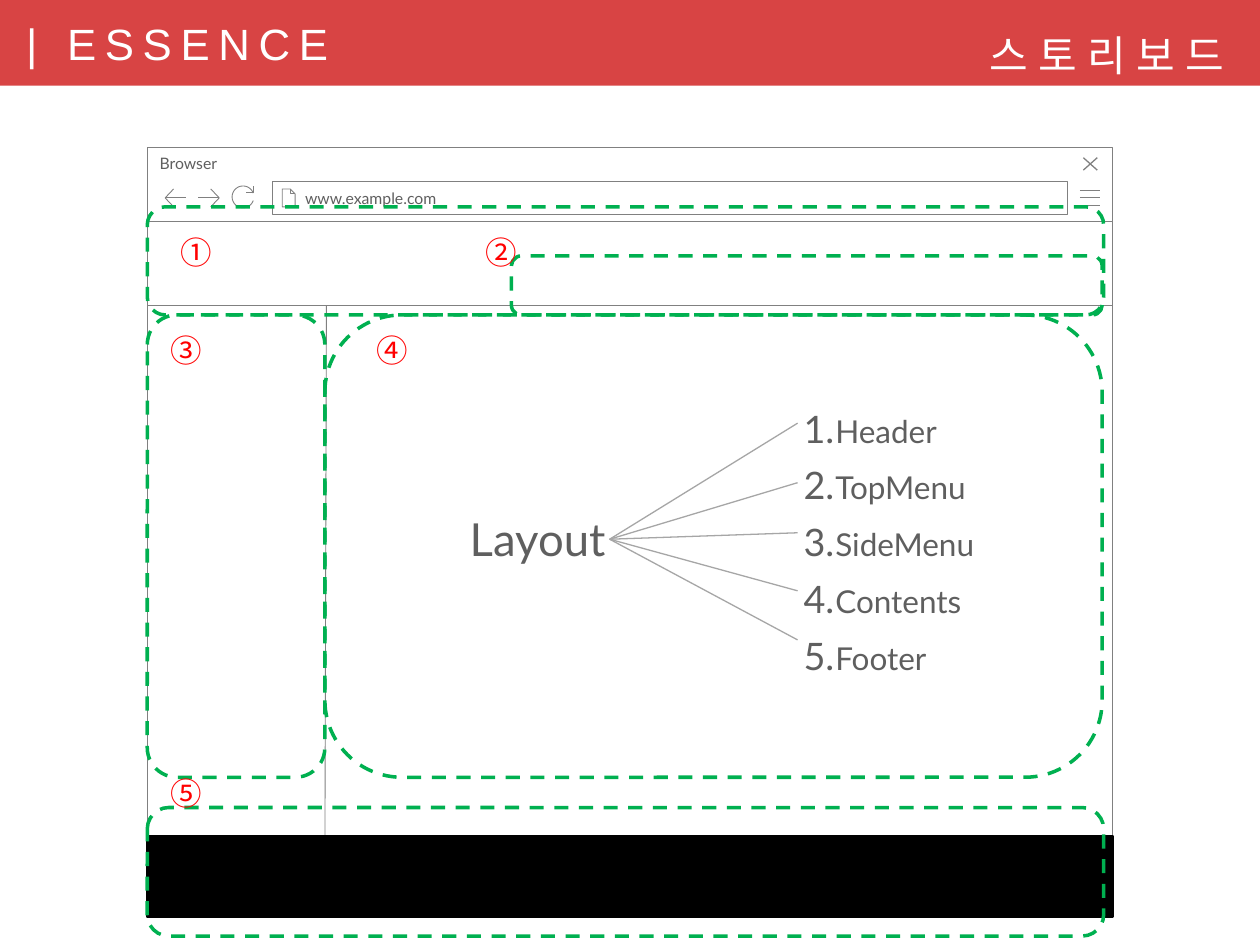
from math import cos, radians, sin

from lxml import etree
from pptx import Presentation
from pptx.dml.color import RGBColor
from pptx.enum.dml import MSO_LINE
from pptx.enum.shapes import MSO_CONNECTOR, MSO_SHAPE
from pptx.enum.text import MSO_ANCHOR, MSO_AUTO_SIZE, PP_ALIGN
from pptx.oxml.ns import qn
from pptx.util import Cm, Pt

RECT, ROUND = MSO_SHAPE.RECTANGLE, MSO_SHAPE.ROUNDED_RECTANGLE
LINE, DASH = MSO_CONNECTOR.STRAIGHT, MSO_LINE.DASH
LEFT, CENTER = PP_ALIGN.LEFT, PP_ALIGN.CENTER
TOP, MIDDLE = MSO_ANCHOR.TOP, MSO_ANCHOR.MIDDLE
FIXED = MSO_AUTO_SIZE.NONE

COLORS = {
    "band": "D84444", "white": "FFFFFF", "black": "000000", "frame": "808080",
    "text": "5F5F5F", "zone": "00B050", "fan": "A6A6A6", "mark": "FF0000",
}
LATIN, KOREAN = "Lato", "Noto Sans CJK KR"
INSET = (0.25, 0.13, 0.25, 0.13)

# Browser window: left, right and the heights of its rows
X, R = 2.97, 22.43
W = R - X
BAR, BODY, HEAD, FOOT = 2.97, 4.47, 6.15, 16.87


def color(name):
    return RGBColor.from_string(COLORS[name])


def style(para, size, face, hue, align=LEFT, gap=0):
    """Set the font of a paragraph, with letter spacing in points."""
    para.alignment = align
    font = para.font
    font.size, font.name = Pt(size), face
    font.color.rgb = color(hue)
    props = para._p.pPr.find(qn("a:defRPr"))
    if gap:
        props.set("spc", str(gap * 100))
    if face == KOREAN:
        etree.SubElement(props, qn("a:ea")).set("typeface", face)


def frame_text(shape, inset=INSET, anchor=TOP, wrap=True):
    frame = shape.text_frame
    frame.auto_size, frame.word_wrap = FIXED, wrap
    frame.vertical_anchor = anchor
    (frame.margin_left, frame.margin_top,
     frame.margin_right, frame.margin_bottom) = map(Cm, inset)
    return frame


def write(shape, text, font, inset=INSET, anchor=TOP, wrap=True):
    para = frame_text(shape, inset, anchor, wrap).paragraphs[0]
    para.text = text
    style(para, *font)


def add_label(shapes, box, text, font, inset=INSET, wrap=True):
    label = shapes.add_textbox(*map(Cm, box))
    write(label, text, font, inset, wrap=wrap)
    return label


def add_box(shapes, box, fill=None, line=None, width=0.5, kind=RECT):
    shape = shapes.add_shape(kind, *map(Cm, box))
    shape.shadow.inherit = False
    if fill:
        shape.fill.solid()
        shape.fill.fore_color.rgb = color(fill)
    else:
        shape.fill.background()
    if line:
        shape.line.color.rgb, shape.line.width = color(line), Pt(width)
    else:
        shape.line.fill.background()
    return shape


def add_line(shapes, ends, hue, width):
    line = shapes.add_connector(LINE, *map(Cm, ends))
    line.line.color.rgb, line.line.width = color(hue), Pt(width)
    etree.SubElement(line._element.spPr, qn("a:effectLst"))
    return line


def add_icon(shapes, strokes, width=0.5):
    """Draw open strokes, each a list of points in centimetres."""
    paths = [[(Cm(x), Cm(y)) for x, y in stroke] for stroke in strokes]
    pen = shapes.build_freeform(*paths[0][0])
    for num, points in enumerate(paths):
        if num:
            pen.move_to(*points[0])
        pen.add_line_segments(points[1:], close=False)
    icon = pen.convert_to_shape()
    icon.shadow.inherit = False
    icon.fill.background()
    icon.line.color.rgb, icon.line.width = color("frame"), Pt(width)


def add_list(shapes, box, items):
    frame = frame_text(shapes.add_textbox(*map(Cm, box)), (0, 0, 0, 0))
    for num, item in enumerate(items):
        para = frame.add_paragraph() if num else frame.paragraphs[0]
        para.text, para.line_spacing = item, 1.5
        props = para._p.get_or_add_pPr()
        props.set("marL", str(Cm(0.76)))
        props.set("indent", str(Cm(-0.64)))
        etree.SubElement(props, qn("a:buSzPct")).set("val", "120000")
        etree.SubElement(props, qn("a:buAutoNum")).set("type", "arabicPeriod")
        style(para, 18, LATIN, "text")


def add_header(slide):
    shapes, title = slide.shapes, slide.shapes.title
    add_box(shapes, (0, 0, 25.4, 1.73), "band")
    add_label(shapes, (0.28, 0.2, 12.4, 1.32), "| ESSENCE",
              (25, "Arial", "white", LEFT, 5))
    # The title goes in front of the band
    title._element.getparent().append(title._element)
    title.left, title.top, title.width, title.height = map(
        Cm, (19.69, 0.46, 5.6, 1.27))
    write(title, "스토리보드", (24, KOREAN, "white", LEFT, 6))


def add_browser(shapes):
    small = (9, LATIN, "text")
    add_box(shapes, (X, BODY, W, FOOT - BODY), "white", "frame")
    bar = add_box(shapes, (X, BAR, W, BODY - BAR), "white", "frame")
    write(bar, "Browser", small, (0.25, 0.13, 0.64, 0.13))

    # Menu and close icons
    add_icon(shapes, [[(21.77, y), (22.17, y)] for y in (4.14, 3.99, 3.84)])
    add_icon(shapes, [[(22.12, 3.18), (21.84, 3.43)],
                      [(21.84, 3.18), (22.12, 3.43)]], 0.75)

    # Address field with its page icon
    field = add_box(shapes, (5.49, 3.66, 16.03, 0.66), "white", "frame")
    write(field, "www.example.com", small, (0.66, 0.13, 0.25, 0.13), MIDDLE)
    add_icon(shapes, [[(5.85, 3.81), (5.85, 3.91), (5.95, 3.91)],
                      [(5.85, 3.81), (5.69, 3.81), (5.69, 4.17),
                       (5.95, 4.17), (5.95, 3.91), (5.85, 3.81)]])

    # Back and forward arrows: tip, tail and the way the head opens
    for tip, tail, way in ((3.33, 3.76, 1), (4.42, 3.99, -1)):
        wing = tip + way * 0.17
        add_icon(shapes, [[(wing, 4.17), (tip, 3.99), (wing, 3.81)],
                          [(tip, 3.99), (tail, 3.99)]])

    # Reload icon
    arc = [(4.9 + 0.22 * cos(radians(a)), 3.97 + 0.22 * sin(radians(a)))
           for a in range(20, 341, 10)]
    add_icon(shapes, [[(5.11, 3.76), (5.11, 3.89), (4.95, 3.89)], arc])

    # Page divisions and footer
    add_line(shapes, (X, HEAD, R, HEAD), "frame", 0.5)
    add_line(shapes, (6.58, HEAD, 6.55, 17.07), "frame", 0.5)
    add_box(shapes, (X, FOOT, W, 1.6), "black", "black", 2)


def add_zones(shapes):
    for box in ((X, 4.17, 19.28, 2.18), (10.31, 5.16, 11.91, 1.19),
                (X, 6.35, 3.58, 9.32), (6.55, 6.35, 15.67, 9.32),
                (X, 16.28, 19.28, 2.59)):
        zone = add_box(shapes, box, None, "zone", 2, ROUND)
        zone.line.dash_style = DASH


def add_legend(shapes):
    add_list(shapes, (16.08, 7.92, 3.58, 5.64),
             ("Header", "TopMenu", "SideMenu", "Contents", "Footer"))
    root = add_label(shapes, (9.47, 10.31, 2.82, 1.12), "Layout",
                     (26, LATIN, "text"), (0, 0, 0, 0), False)
    for y in (8.53, 9.73, 10.74, 11.91, 12.9):
        ray = add_line(shapes, (12.29, 10.87, 16.08, y), "fan", 0.75)
        ray.begin_connect(root, 3)


def add_marks(shapes):
    spots = ((3.38, 4.57), (9.53, 4.57), (3.18, 6.55), (7.34, 6.55),
             (3.18, 15.47))
    for sign, (x, y) in zip("①②③④⑤", spots):
        add_label(shapes, (x, y, 0.79, 1.02), sign,
                  (18, KOREAN, "mark", CENTER))


def main():
    deck = Presentation()
    deck.slide_width, deck.slide_height = Cm(25.4), Cm(19.05)
    slide = deck.slides.add_slide(deck.slide_layouts[5])
    add_header(slide)
    add_browser(slide.shapes)
    add_zones(slide.shapes)
    add_legend(slide.shapes)
    add_marks(slide.shapes)
    deck.save("out.pptx")


if __name__ == "__main__":
    main()
